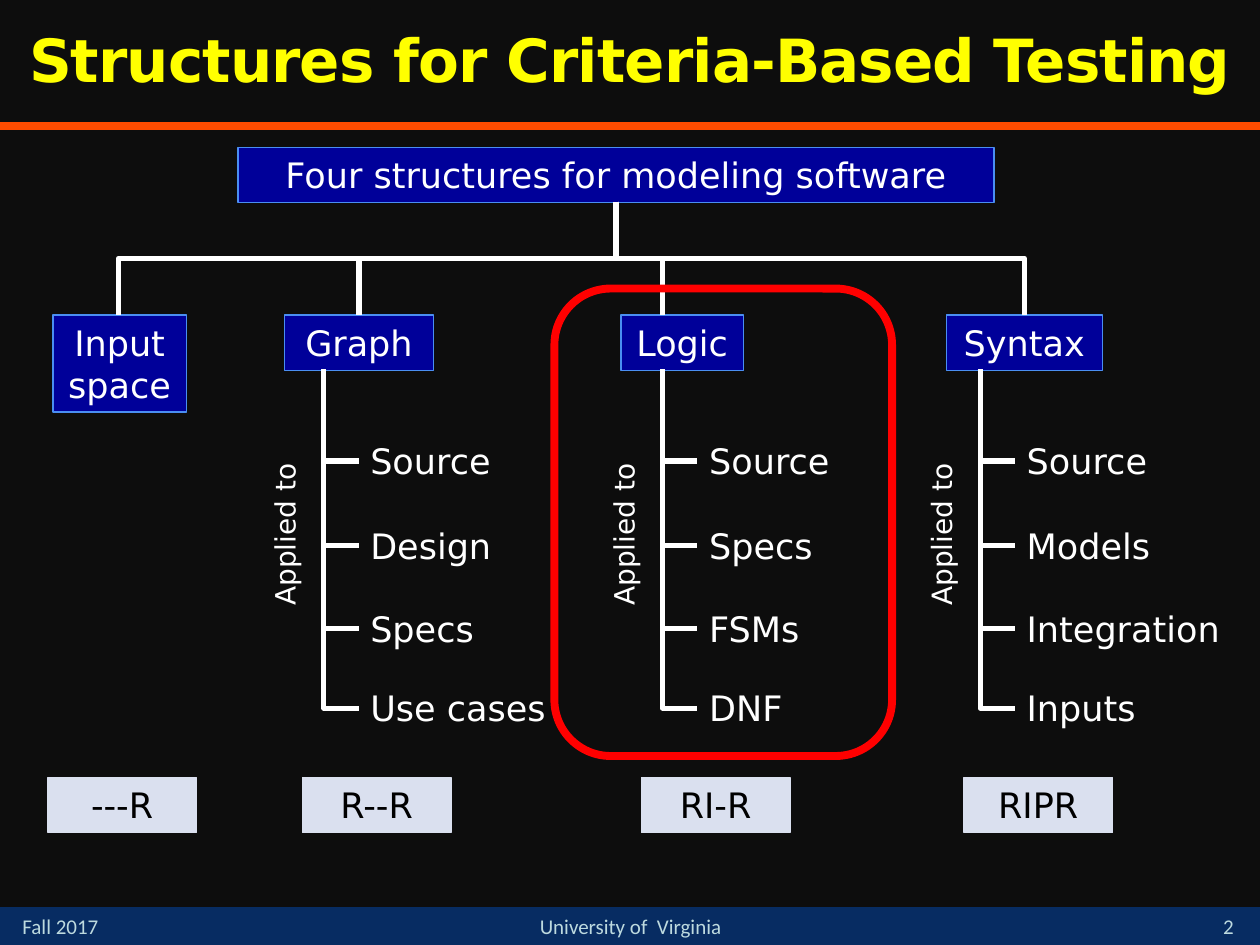
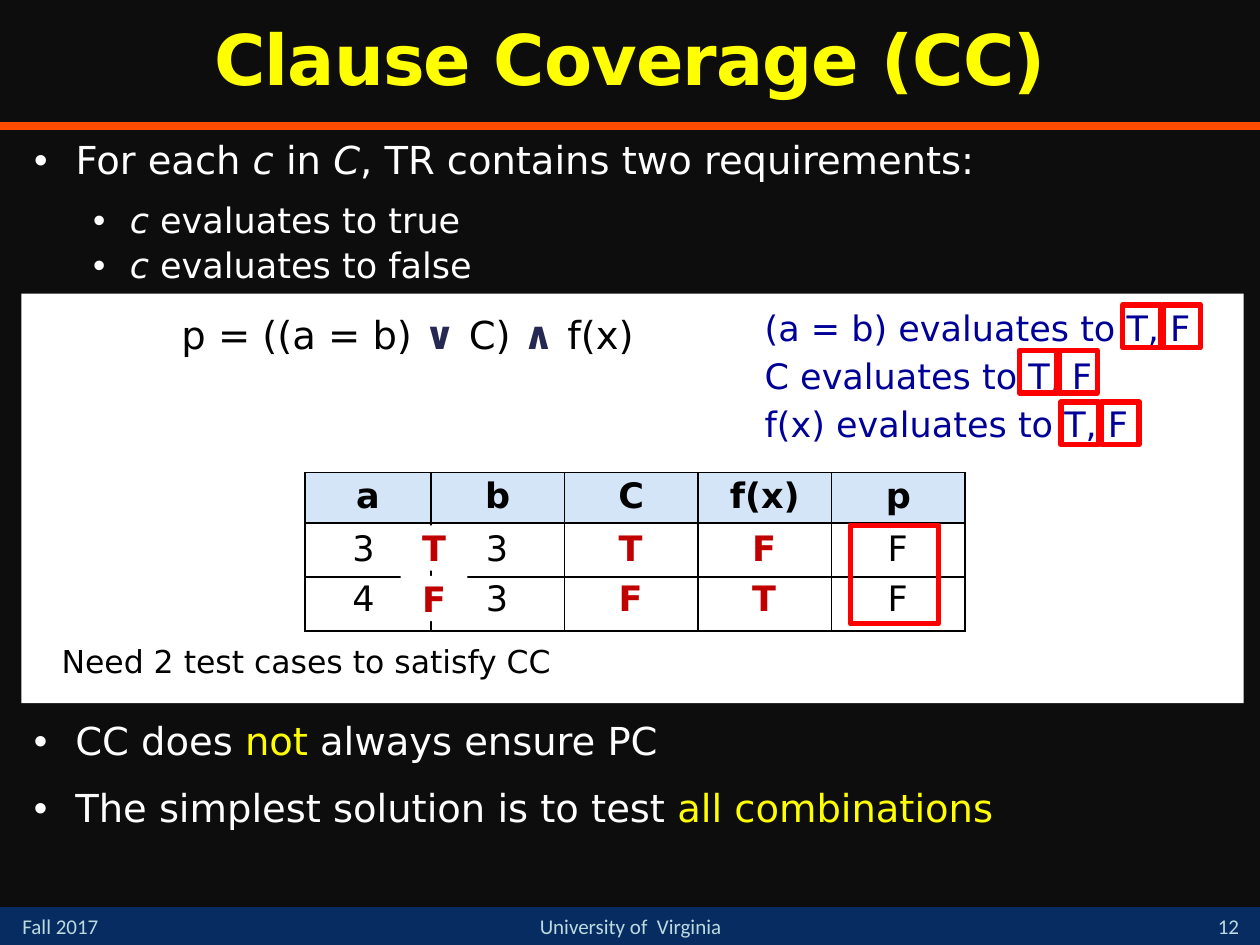
from dataclasses import dataclass

from lxml import etree
from pptx import Presentation
from pptx import util as u
from pptx.dml.color import RGBColor
from pptx.enum import shapes as sh
from pptx.enum import text as tx
from pptx.oxml.ns import qn

# The slide is a grid of 100 columns by 75 rows of square cells.
COLUMNS, ROWS = 100, 75
CELL = u.Inches(10) // COLUMNS


@dataclass(frozen=True)
class Theme:
    font: str = "DejaVu Sans"
    footer_font: str = "Calibri"
    background: str = "0D0D0D"
    band: str = "072C62"
    rule: str = "FF4C00"
    footer: str = "BDDADF"
    accent: str = "FFFF00"
    light: str = "FFFFFF"
    dark: str = "000000"
    node: str = "000099"
    node_edge: str = "4A8EF2"
    rating: str = "DAE0EF"
    highlight: str = "FF0000"
    truth: str = "C00000"
    operator: str = "242852"
    table_head: str = "D4E5F7"
    lead: int = 22
    body: int = 20
    note: int = 18
    label: int = 16
    footer_size: int = 12
    thick: float = 4.5
    medium: float = 3
    thin: float = 0.75


T = Theme()
LEFT, CENTER = tx.PP_ALIGN.LEFT, tx.PP_ALIGN.CENTER


def cells(*counts):
    return [round(count * CELL) for count in counts]


def rgb(code):
    return RGBColor.from_string(code)


def style_run(run, size=T.body, color=T.light, bold=False, italic=False, font=T.font):
    run.font.name, run.font.size = font, u.Pt(size)
    run.font.color.rgb = rgb(color)
    run.font.bold, run.font.italic = bold, italic


def write_runs(paragraph, runs, **style):
    """Fill a paragraph from plain strings and (string, style changes) pairs."""
    for part in runs:
        words, changes = (part, {}) if isinstance(part, str) else part
        run = paragraph.add_run()
        run.text = words
        style_run(run, **{**style, **changes})


def set_frame(frame, anchor=tx.MSO_ANCHOR.TOP):
    frame.word_wrap = True
    frame.auto_size = tx.MSO_AUTO_SIZE.NONE
    frame.vertical_anchor = anchor


def write_line(frame, runs, align=CENTER, spacing=None, anchor=tx.MSO_ANCHOR.TOP, **style):
    set_frame(frame, anchor)
    paragraph = frame.paragraphs[0]
    paragraph.alignment = align
    paragraph.line_spacing = spacing
    write_runs(paragraph, [runs] if isinstance(runs, str) else runs, **style)


def add_label(shapes, place, runs, **style):
    label = shapes.add_textbox(*cells(*place))
    write_line(label.text_frame, runs, **style)
    return label


def add_box(shapes, place, fill=None, edge=None, weight=T.thin, words="",
            kind=sh.MSO_SHAPE.RECTANGLE, **style):
    box = shapes.add_shape(kind, *cells(*place))
    box.shadow.inherit = False
    if fill:
        box.fill.solid()
        box.fill.fore_color.rgb = rgb(fill)
    else:
        box.fill.background()
    if edge:
        box.line.color.rgb = rgb(edge)
        box.line.width = u.Pt(weight)
    else:
        box.line.fill.background()
    if words:
        write_line(box.text_frame, words, **style)
    return box


def add_line(shapes, kind, ends, color, weight):
    line = shapes.add_connector(kind, *cells(*ends))
    line.line.color.rgb = rgb(color)
    line.line.width = u.Pt(weight)
    etree.SubElement(line._element.spPr, qn("a:effectLst"))
    return line


def add_elbow(shapes, start, end, preset):
    """Draw a bent line that leaves its start downwards."""
    (x1, y1), (x2, y2) = start, end
    middle_x, middle_y = (x1 + x2) / 2, (y1 + y2) / 2
    half_drop, half_run = (y2 - y1) / 2, abs(x2 - x1) / 2
    rightward = x2 > x1
    side = half_drop if rightward else -half_drop
    elbow = add_line(shapes, sh.MSO_CONNECTOR.ELBOW,
                     (middle_x + side, middle_y - half_run,
                      middle_x - side, middle_y + half_run), T.light, T.medium)
    properties = elbow._element.spPr
    properties.find(qn("a:xfrm")).set("rot", str((270 if rightward else 90) * 60000))
    properties.find(qn("a:prstGeom")).set("prst", preset)


def write_bullets(frame, items):
    """Write (level, space before, runs) items as a bulleted list."""
    set_frame(frame)
    for index, (level, before, runs) in enumerate(items):
        paragraph = frame.add_paragraph() if index else frame.paragraphs[0]
        paragraph.level = level
        paragraph.alignment = LEFT
        paragraph.line_spacing = 0.95
        paragraph.space_before, paragraph.space_after = u.Pt(before), u.Pt(3)
        write_runs(paragraph, runs, size=(T.lead, T.body)[level])
        margin, hang = ((0.33, 0.33), (0.76, 0.29))[level]
        properties = paragraph._p.get_or_add_pPr()
        properties.set("marL", str(u.Inches(margin)))
        properties.set("indent", str(-u.Inches(hang)))
        tint = etree.SubElement(properties, qn("a:buClr"))
        etree.SubElement(tint, qn("a:srgbClr"), val=T.light)
        etree.SubElement(properties, qn("a:buFont"), typeface="Arial")
        etree.SubElement(properties, qn("a:buChar"), char="•")


def place_shape(shape, place):
    shape.left, shape.top, shape.width, shape.height = cells(*place)


def add_slide(deck, layout, title, title_size, number):
    """Add a slide with the shared band, rule, footers and title style."""
    slide = deck.slides.add_slide(deck.slide_layouts[layout])
    shapes = slide.shapes
    footer = dict(size=T.footer_size, color=T.footer, font=T.footer_font)
    add_box(shapes, (0, 72, COLUMNS, 3), T.band)
    add_line(shapes, sh.MSO_CONNECTOR.STRAIGHT, (0, 10, COLUMNS, 10), T.rule, T.thick)
    add_label(shapes, (0.8, 72, 11.7, 3), "Fall 2017", align=LEFT, **footer)
    add_label(shapes, (95, 71.7, 5, 3.3), str(number), anchor=tx.MSO_ANCHOR.BOTTOM, **footer)
    add_label(shapes, (36.7, 72, 26.7, 3), "University of  Virginia", **footer)
    place_shape(shapes.title, (0, 0, COLUMNS, 10))
    write_line(shapes.title.text_frame, title, spacing=0.9, anchor=tx.MSO_ANCHOR.MIDDLE,
               size=title_size, color=T.accent, bold=True)
    for run in shapes.title.text_frame.paragraphs[0].runs:
        run._r.get_or_add_rPr().set("spc", "-50")
    return slide


def add_node(shapes, left, top, width, words, height=4.4):
    add_box(shapes, (left, top, width, height), T.node, T.node_edge, words=words)


def add_branch(shapes, left, width, trunk, name, uses):
    """Add a structure with the artefacts it is applied to."""
    branch = shapes.add_group_shape().shapes
    add_node(branch, left, 25, width, name)
    for top, use in zip((34.4, 41.1, 47.7, 54), uses):
        add_label(branch, (trunk + 2.7, top, 18.5, 4.4), use, align=LEFT)
        add_elbow(branch, (trunk, 29.3), (trunk + 2.75, top + 2.2), "bentConnector2")
    applied = add_label(branch, (trunk - 11.2, 39.1, 16.2, 3.7), "Applied to",
                        align=LEFT, size=T.label)
    applied.rotation = 270


def build_structures(deck):
    shapes = add_slide(deck, 5, "Structures for Criteria-Based Testing", 34, 2).shapes
    add_node(shapes, 18.9, 11.7, 60, "Four structures for modeling software")
    add_node(shapes, 4.2, 25, 10.6, "Input space", height=7.7)
    branches = (
        (22.6, 11.8, 25.7, "Graph", ("Source", "Design", "Specs", "Use cases")),
        (49.3, 9.7, 52.6, "Logic", ("Source", "Specs", "FSMs", "DNF")),
        (75.1, 12.4, 77.8, "Syntax", ("Source", "Models", "Integration", "Inputs")),
    )
    for branch in branches:
        add_branch(shapes, *branch)
    for drop in (9.4, 28.5, 52.6, 81.3):
        add_elbow(shapes, (48.9, 16), (drop, 25), "bentConnector3")
    add_box(shapes, (44, 22.9, 26.8, 37.1), edge=T.highlight, weight=T.thick,
            kind=sh.MSO_SHAPE.ROUNDED_RECTANGLE)
    for left, rating in ((3.8, "---R"), (24, "R--R"), (50.9, "RI-R"), (76.5, "RIPR")):
        add_box(shapes, (left, 61.7, 11.8, 4.4), T.rating, T.rating,
                words=rating, color=T.dark)


def set_borders(cell):
    properties = cell._tc.get_or_add_tcPr()
    for index, side in enumerate(("lnL", "lnR", "lnT", "lnB")):
        border = etree.Element(qn(f"a:{side}"), w=str(u.Pt(1)))
        fill = etree.SubElement(border, qn("a:solidFill"))
        etree.SubElement(fill, qn("a:srgbClr"), val=T.dark)
        properties.insert(index, border)


def add_truth_table(shapes):
    headings = ("a", "b", "C", "f(x)", "p")
    heights = (4, 4.3, 4.3)
    table = shapes.add_table(len(heights), len(headings),
                             *cells(24.2, 37.5, 52.4, sum(heights))).table
    table.first_row = table.horz_banding = False
    for column, width in zip(table.columns, cells(10, *[10.6] * 4)):
        column.width = width
    for row, height in zip(table.rows, cells(*heights)):
        row.height = height
    for cell in table.iter_cells():
        cell.fill.background()
        set_borders(cell)
    for column, heading in enumerate(headings):
        cell = table.cell(0, column)
        cell.fill.solid()
        cell.fill.fore_color.rgb = rgb(T.table_head)
        cell.vertical_anchor = tx.MSO_ANCHOR.MIDDLE
        paragraph = cell.text_frame.paragraphs[0]
        paragraph.alignment, paragraph.line_spacing = CENTER, 0.9
        write_runs(paragraph, [heading], color=T.dark, bold=True)

    truth = dict(color=T.truth, bold=True)
    tests = (("33TFF", "T"), ("43FTF", "F"))
    for row, (values, equality) in enumerate(tests):
        top = 41.3 + 4 * row
        for column, value in enumerate(values):
            style = truth if column in (2, 3) else dict(color=T.dark)
            add_label(shapes, (26.2 + 10.6 * column, top, 5.3, 4.4), value, **style)
        add_box(shapes, (31.8, top + 0.4, 5.3, 3.6), T.light, words=equality,
                spacing=0.9, **truth)


def build_clause_coverage(deck):
    slide = add_slide(deck, 1, "Clause Coverage (CC)", 40, 12)
    shapes = slide.shapes
    requirements = slide.placeholders[1]
    place_shape(requirements, (1.7, 10.6, 97.5, 12.7))
    italic = dict(italic=True)
    write_bullets(requirements.text_frame, (
        (0, 10, ("For each ", ("c", italic), " in ", ("C", italic),
                 ", TR contains two requirements:")),
        (1, 7, (("c ", italic), "evaluates to true")),
        (1, 0, (("c ", italic), "evaluates to false")),
    ))
    add_box(shapes, (1.7, 23.3, 97, 32.5), T.light)
    operator = dict(color=T.operator, bold=True)
    add_label(shapes, (11.7, 24.2, 41.3, 4.7),
              ("p = ((a = b) ", ("∨ ", operator), "C) ", ("∧ ", operator), "f(x)"),
              size=T.lead, color=T.dark)
    add_label(shapes, (3.9, 50.8, 50.3, 3.7), "Need 2 test cases to satisfy CC",
              align=LEFT, spacing=0.9, size=T.note, color=T.dark)
    add_truth_table(shapes)

    clauses = (("(a = b)", 89.1, 24.2), ("C", 80.9, 27.8), ("f(x)", 84.2, 31.9))
    for row, (clause, mark_left, mark_top) in enumerate(clauses):
        add_label(shapes, (59.7, 24.2 + 3.8 * row, 37.8, 4), f"{clause} evaluates to T, F",
                  align=LEFT, spacing=0.9, color=T.node)
        for left in (mark_left, mark_left + 3.2):
            add_box(shapes, (left, mark_top, 3, 3.4), edge=T.highlight, weight=T.medium)

    conclusions = shapes.add_textbox(*cells(1.7, 56.7, 97.5, 12.7))
    accent = dict(color=T.accent)
    write_bullets(conclusions.text_frame, (
        (0, 10, ("CC does ", ("not", accent), " always ensure PC")),
        (0, 10, ("The simplest solution is to test ", ("all combinations", accent))),
    ))
    add_box(shapes, (67.5, 41.7, 7, 7.8), edge=T.highlight, weight=T.medium)


def main():
    deck = Presentation()
    deck.slide_width, deck.slide_height = cells(COLUMNS, ROWS)
    background = deck.slide_master.background.fill
    background.solid()
    background.fore_color.rgb = rgb(T.background)
    build_structures(deck)
    build_clause_coverage(deck)
    deck.save("out.pptx")


if __name__ == "__main__":
    main()
